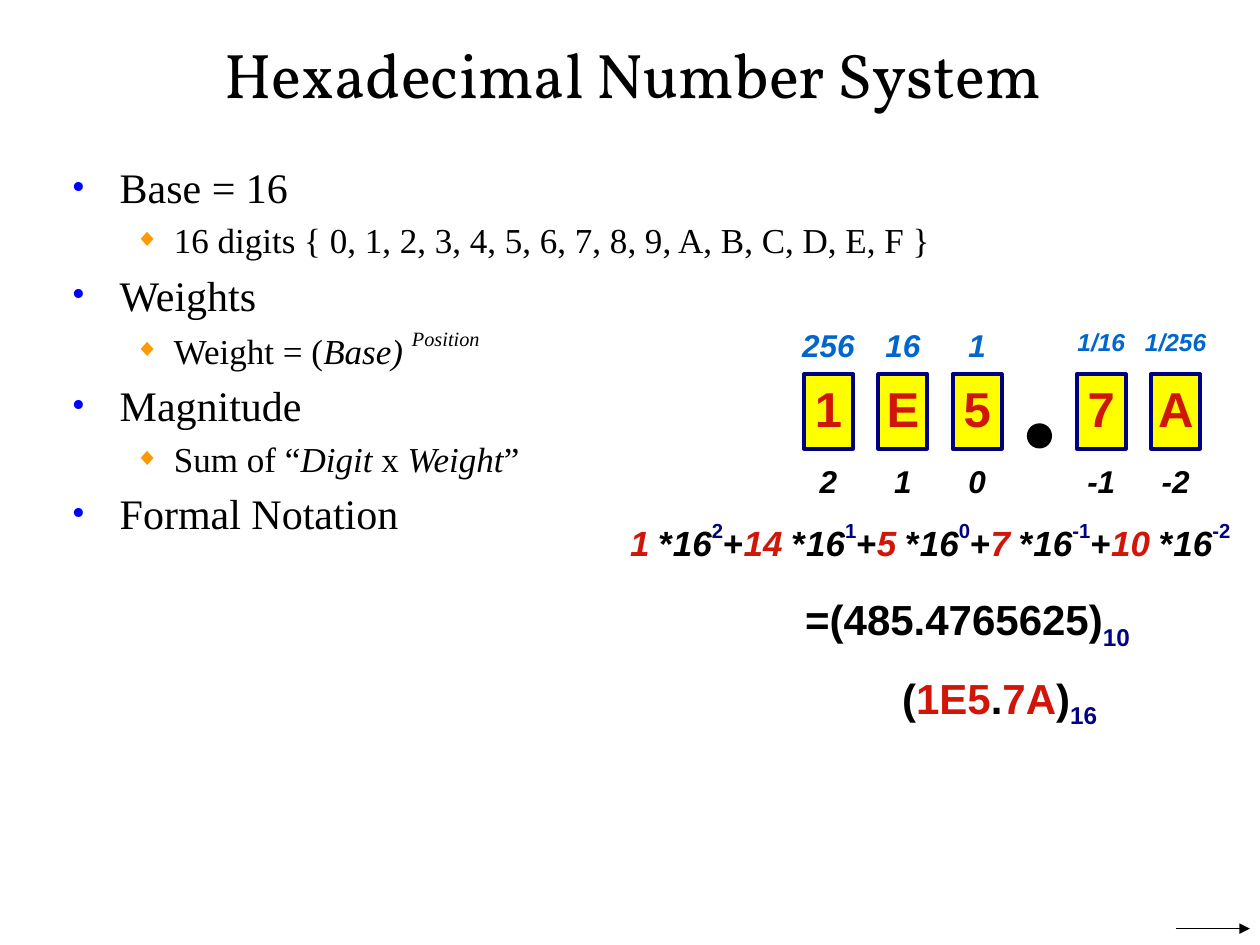
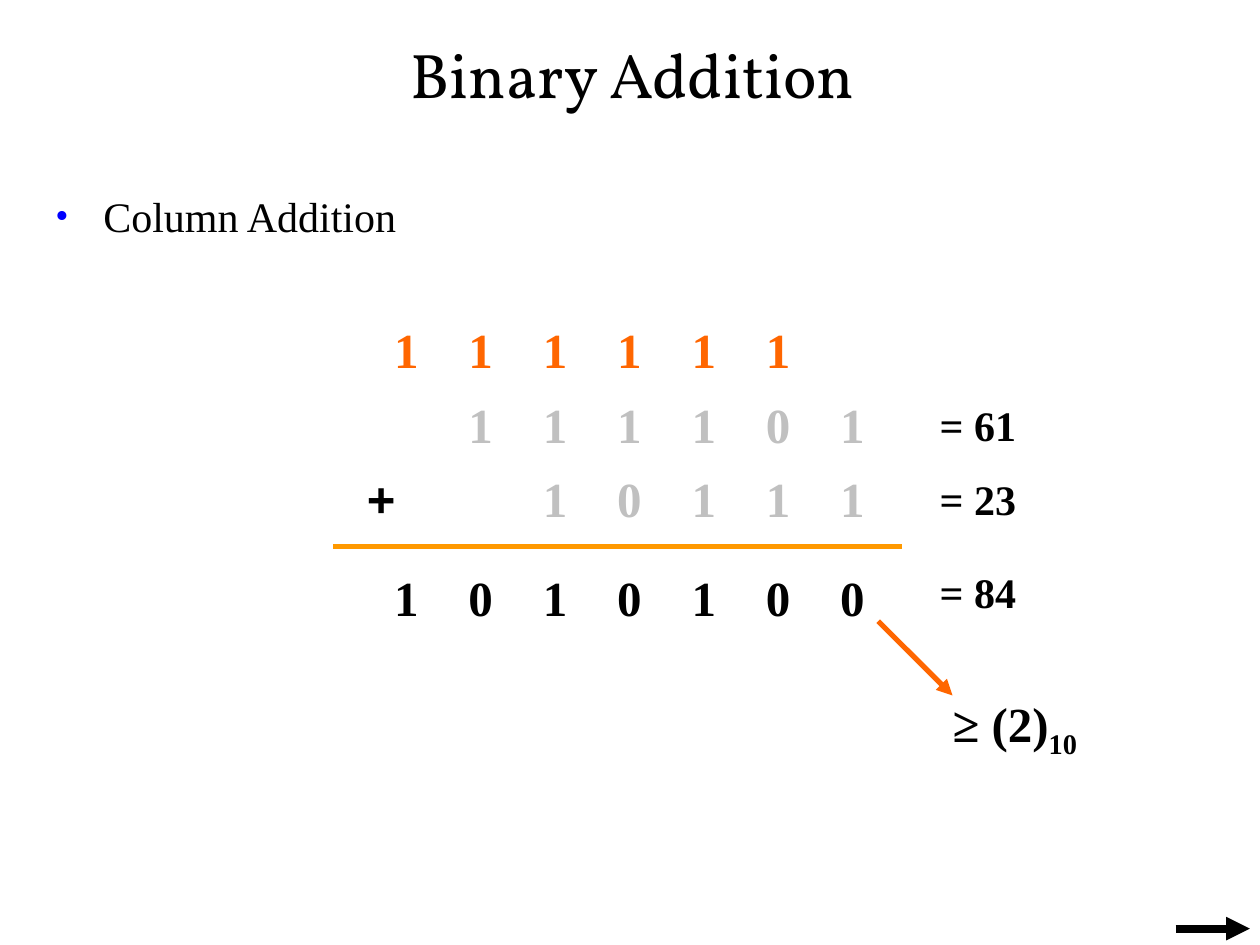
from dataclasses import dataclass

from lxml import etree
from pptx import Presentation
from pptx import util as u
from pptx.dml.color import RGBColor
from pptx.enum import shapes, text
from pptx.oxml.ns import qn


@dataclass(frozen=True)
class Theme:
    """Colours, fonts and type sizes shared by the slides."""
    ink: str = "000000"
    navy: str = "000082"
    weight_blue: str = "0066CC"
    digit_red: str = "D01608"
    cell_yellow: str = "FFFF00"
    carry_orange: str = "FF6600"
    rule_orange: str = "FF9900"
    addend_grey: str = "C0C0C0"
    title_font: str = "Vollkorn"
    serif: str = "Times New Roman"
    sans: str = "Arial"
    title_size: int = 36
    level_sizes: tuple = (24, 20)
    digit_size: int = 28
    result_size: int = 24
    expansion_size: int = 20
    label_size: int = 18
    fraction_size: int = 14
    tight: float = 0.9


@dataclass(frozen=True)
class Box:
    """A region in inches that places parts relative to its corner."""
    left: float
    top: float
    width: float
    height: float

    def inner(self, dx, dy, width, height):
        """Return a box offset from this one."""
        return Box(self.left + dx, self.top + dy, width, height)

    def lengths(self):
        """Return the four sides as lengths."""
        return [u.Inches(side) for side in (self.left, self.top, self.width, self.height)]


THEME = Theme()
BULLETS = (("•", "0000FF", 90, 0.38, -0.38), ("◆", "FF9900", 70, 0.81, -0.31))
PITCH = 0.59
CELL = 0.39


def rgb(code):
    """Return a colour from its hex code."""
    return RGBColor.from_string(code)


def add_run(paragraph, words, font, size, color=THEME.ink, bold=False, italic=False, baseline=0):
    """Add one formatted run, raised or lowered by a baseline percentage."""
    run = paragraph.add_run()
    run.text = words
    run.font.name, run.font.size = font, u.Pt(size)
    run.font.bold, run.font.italic = bold, italic
    run.font.color.rgb = rgb(color)
    if baseline:
        run._r.get_or_add_rPr().set("baseline", str(baseline * 1000))


def prepare_frame(frame, insets=(0, 0, 0, 0), anchor=text.MSO_ANCHOR.TOP):
    """Set wrapping, insets and anchor of a text frame."""
    frame.word_wrap = True
    frame.auto_size = text.MSO_AUTO_SIZE.NONE
    frame.vertical_anchor = anchor
    (frame.margin_left, frame.margin_top,
     frame.margin_right, frame.margin_bottom) = [u.Inches(inset) for inset in insets]
    return frame


def add_label(slide, box, insets=(0, 0.02, 0, 0), centred=False, spacing=THEME.tight):
    """Add a text box and return its first paragraph."""
    frame = prepare_frame(slide.shapes.add_textbox(*box.lengths()).text_frame, insets)
    paragraph = frame.paragraphs[0]
    paragraph.line_spacing = spacing
    paragraph.alignment = text.PP_ALIGN.CENTER if centred else text.PP_ALIGN.LEFT
    return paragraph


def add_line(slide, start, end, color, width, arrow=False):
    """Draw a straight line, with an arrowhead at its end if asked."""
    ends = [u.Inches(length) for length in (*start, *end)]
    line = slide.shapes.add_connector(shapes.MSO_CONNECTOR.STRAIGHT, *ends)
    line.line.color.rgb = rgb(color)
    line.line.width = u.Pt(width)
    properties = line._element.spPr
    if arrow:
        etree.SubElement(properties.find(qn("a:ln")), qn("a:tailEnd"), type="triangle")
    etree.SubElement(properties, qn("a:effectLst"))


def set_bullet(paragraph, level):
    """Give a paragraph the bullet and indent of its level."""
    mark, color, percent, margin, indent = BULLETS[level]
    paragraph.level = level
    properties = paragraph._p.get_or_add_pPr()
    properties.set("marL", str(u.Inches(margin)))
    properties.set("indent", str(u.Inches(indent)))
    bullet_color = etree.SubElement(properties, qn("a:buClr"))
    etree.SubElement(bullet_color, qn("a:srgbClr"), val=color)
    etree.SubElement(properties, qn("a:buSzPct"), val=str(percent * 1000))
    etree.SubElement(properties, qn("a:buFont"), typeface=THEME.serif)
    etree.SubElement(properties, qn("a:buChar"), char=mark)


def add_topic_slide(deck, title, body_box, topics, arrow_width):
    """Add a slide with its title, bullet list and corner arrow."""
    slide = deck.slides.add_slide(deck.slide_layouts[1])
    heading, body = slide.placeholders[0], slide.placeholders[1]
    for holder, box in ((heading, Box(0.33, 0.25, 9.38, 0.67)), (body, body_box)):
        holder.left, holder.top, holder.width, holder.height = box.lengths()
    paragraph = prepare_frame(heading.text_frame, anchor=text.MSO_ANCHOR.MIDDLE).paragraphs[0]
    paragraph.alignment = text.PP_ALIGN.CENTER
    add_run(paragraph, title, THEME.title_font, THEME.title_size)
    frame = prepare_frame(body.text_frame, (0.1, 0.09, 0.1, 0.05))
    for index, (level, runs) in enumerate(topics):
        paragraph = frame.add_paragraph() if index else frame.paragraphs[0]
        if not index:
            paragraph.space_before = u.Pt(0)
        set_bullet(paragraph, level)
        for words, style in runs:
            add_run(paragraph, words, THEME.serif, THEME.level_sizes[level], **style)
    add_line(slide, (9.33, 7.37), (9.92, 7.37), THEME.ink, arrow_width, arrow=True)
    return slide


def add_digit_cells(slide, box):
    """Draw the digits in cells with weights above and positions below."""
    columns = (
        (0, "1", "256", THEME.label_size, PITCH, "2"),
        (1, "E", "16", THEME.label_size, CELL, "1"),
        (2, "5", "1", THEME.label_size, CELL, "0"),
        (3.67, "7", "1/16", THEME.fraction_size, CELL, "-1"),
        (4.67, "A", "1/256", THEME.fraction_size, PITCH, "-2"),
    )
    for slot, digit, weight, weight_size, weight_width, position in columns:
        dx = slot * PITCH
        cell = slide.shapes.add_shape(shapes.MSO_SHAPE.RECTANGLE,
                                      *box.inner(dx, 0.37, CELL, PITCH).lengths())
        cell.shadow.inherit = False
        cell.fill.solid()
        cell.fill.fore_color.rgb = rgb(THEME.cell_yellow)
        cell.line.color.rgb = rgb(THEME.navy)
        cell.line.width = u.Pt(2.25)
        paragraph = prepare_frame(cell.text_frame, anchor=text.MSO_ANCHOR.MIDDLE).paragraphs[0]
        paragraph.alignment = text.PP_ALIGN.CENTER
        paragraph.line_spacing = THEME.tight
        add_run(paragraph, digit, THEME.sans, THEME.digit_size, THEME.digit_red, bold=True)
        weight_box = box.inner(dx + (CELL - weight_width) / 2, 0, weight_width, 0.27)
        for words, place, size, color in (
                (weight, weight_box, weight_size, THEME.weight_blue),
                (position, box.inner(dx, 1.08, CELL, 0.27), THEME.label_size, THEME.ink)):
            add_run(add_label(slide, place, centred=True), words, THEME.sans, size, color,
                    bold=True, italic=True)
    point = slide.shapes.add_shape(shapes.MSO_SHAPE.OVAL,
                                   *box.inner(1.77, 0.76, 0.2, 0.2).lengths())
    point.shadow.inherit = False
    point.fill.solid()
    point.fill.fore_color.rgb = rgb(THEME.ink)
    point.line.fill.background()


def add_expansion(slide, box):
    """Write the weighted sum, its decimal value and the formal notation."""
    terms = (("1", "2"), ("14", "1"), ("5", "0"), ("7", "-1"), ("10", "-2"))
    weighted_sum = add_label(slide, box.inner(0, 0, 4.92, 0.86))
    sum_type = (THEME.sans, THEME.expansion_size)
    for index, (digit, power) in enumerate(terms):
        if index:
            add_run(weighted_sum, "+", *sum_type, bold=True)
        add_run(weighted_sum, digit + " ", *sum_type, THEME.digit_red, bold=True, italic=True)
        add_run(weighted_sum, "*", *sum_type, bold=True)
        add_run(weighted_sum, "16", *sum_type, bold=True, italic=True)
        add_run(weighted_sum, power, *sum_type, THEME.navy, bold=True, baseline=50)

    value = slide.shapes[-1].text_frame.add_paragraph()
    value.line_spacing = THEME.tight
    value.space_before = u.Pt(17)
    value._p.get_or_add_pPr().set("marL", str(u.Inches(1.39)))
    notation = add_label(slide, box.inner(2.16, 1.18, 2.16, 0.36))
    for paragraph, pieces, base in (
            (value, (("=(485.4765625)", THEME.ink),), "10"),
            (notation, (("(", THEME.ink), ("1E5", THEME.digit_red), (".", THEME.ink),
                        ("7A", THEME.digit_red), (")", THEME.ink)), "16")):
        for words, color in pieces:
            add_run(paragraph, words, THEME.sans, THEME.result_size, color, bold=True)
        add_run(paragraph, base, THEME.sans, THEME.result_size, THEME.navy, bold=True,
                baseline=-25)


def add_column_sum(slide, box):
    """Lay out carries, addends and sum on a grid with a rule."""
    rows = (
        (0, 0, "111111", THEME.carry_orange),
        (0.59, 1, "111101", THEME.addend_grey),
        (1.18, 2, "10111", THEME.addend_grey),
        (1.97, 0, "1010100", THEME.ink),
    )
    for dy, first_column, digits, color in rows:
        for column, digit in enumerate(digits, first_column):
            place = box.inner(0.39 + column * PITCH, dy, CELL, 0.42)
            add_run(add_label(slide, place, centred=True), digit, THEME.serif,
                    THEME.digit_size, color, bold=True)
    plus = add_label(slide, box.inner(0.19, 1.18, CELL, 0.42), centred=True)
    add_run(plus, "+", THEME.sans, THEME.digit_size, bold=True)
    rule_y = box.top + 1.77
    add_line(slide, (box.left + box.width, rule_y), (box.left, rule_y), THEME.rule_orange, 3)


def add_decimal_check(slide, box):
    """Write the decimal values and the note on the carry."""
    insets = (0.1, 0.07, 0.1, 0.05)
    addends = add_label(slide, box.inner(0, 0, 0.94, 1.03), insets, spacing=0.87)
    second = slide.shapes[-1].text_frame.add_paragraph()
    second.line_spacing = 0.8
    second.space_before = u.Pt(18.5)
    total = add_label(slide, box.inner(0, 1.32, 0.94, 0.45), insets, spacing=0.87)
    for paragraph, words in ((addends, "= 61"), (second, "= 23"), (total, "= 84")):
        add_run(paragraph, words, THEME.serif, THEME.result_size, bold=True)
    add_line(slide, (box.left - 0.39, box.top + 1.77), (box.left + 0.2, box.top + 2.36),
             THEME.carry_orange, 3, arrow=True)
    carry_note = add_label(slide, box.inner(0.2, 2.33, 1.38, 0.42))
    add_run(carry_note, "≥ (2)", THEME.serif, THEME.digit_size, bold=True)
    add_run(carry_note, "10", THEME.serif, THEME.digit_size, bold=True, baseline=-25)


def build_hexadecimal(deck):
    """Build the slide on the hexadecimal number system."""
    plain, slanted = {}, {"italic": True}
    topics = (
        (0, (("Base = 16", plain),)),
        (1, (("16 digits { 0, 1, 2, 3, 4, 5, 6, 7, 8, 9, A, B, C, D, E, F }", plain),)),
        (0, (("Weights", plain),)),
        (1, (("Weight = (", plain), ("Base) ", slanted),
             ("Position", {"italic": True, "baseline": 50}))),
        (0, (("Magnitude", plain),)),
        (1, (("Sum of “", plain), ("Digit", slanted), (" x ", plain),
             ("Weight", slanted), ("”", plain))),
        (0, (("Formal Notation", plain),)),
    )
    slide = add_topic_slide(deck, "Hexadecimal Number System",
                            Box(0.47, 1.19, 9.06, 4.42), topics, 0.75)
    add_digit_cells(slide, Box(6.38, 2.6, 3.14, 1.35))
    add_expansion(slide, Box(5, 4.14, 4.92, 1.54))


def build_binary_addition(deck):
    """Build the slide on binary addition."""
    slide = add_topic_slide(deck, "Binary Addition", Box(0.34, 1.42, 9.37, 0.87),
                            ((0, (("Column Addition", {}),)),), 4.5)
    add_column_sum(slide, Box(2.64, 2.57, 4.52, 2.39))
    add_decimal_check(slide, Box(7.36, 3.16, 1.58, 2.75))


def main():
    """Build and save the presentation."""
    deck = Presentation()
    deck.slide_width, deck.slide_height = u.Inches(10), u.Inches(7.5)
    build_hexadecimal(deck)
    build_binary_addition(deck)
    deck.save("out.pptx")


if __name__ == "__main__":
    main()
